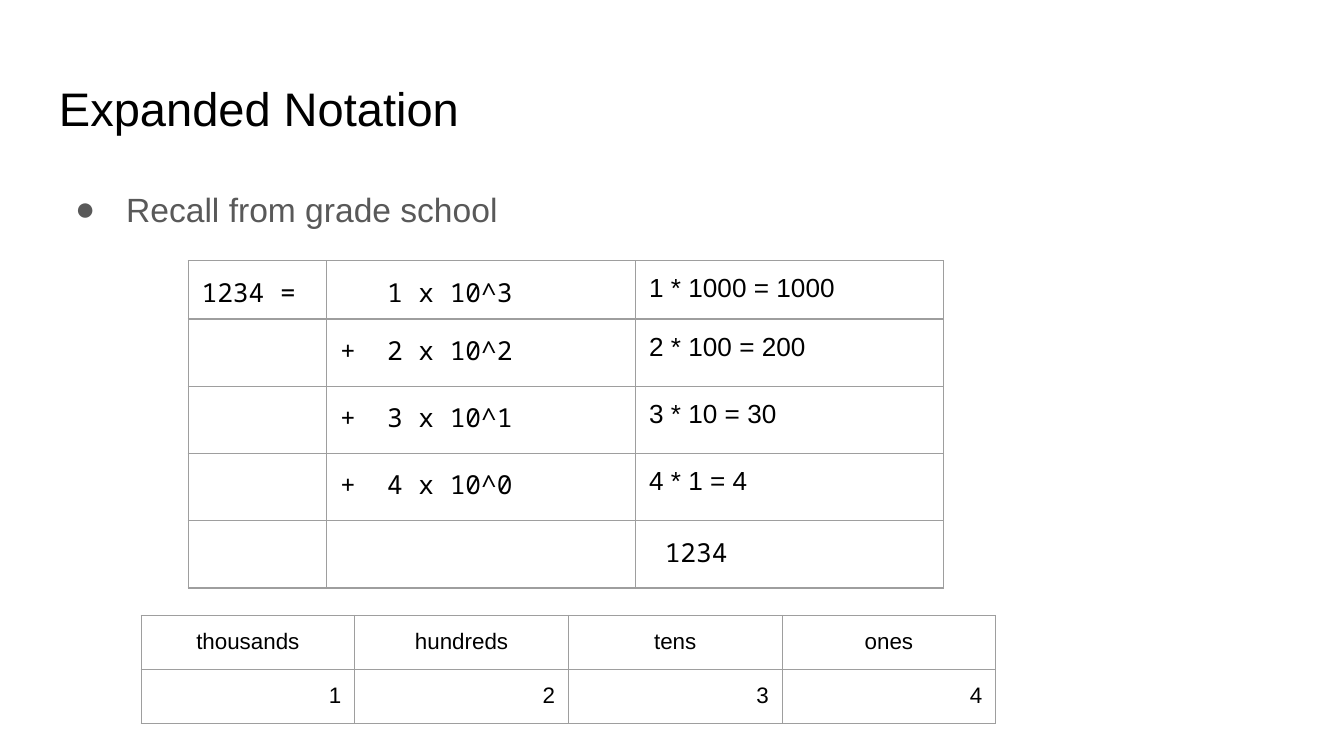
import pptx
import pptx.dml.color
import pptx.enum.text
import pptx.oxml
import pptx.oxml.ns
import pptx.util
from pptx.util import Inches

SANS = "Arial"
MONO = "Noto Sans Mono"
BLACK = "000000"
GRAY = "595959"
BORDER = "9E9E9E"
INSET = Inches(0.1)
HANG = 0.35  # width of three monospaced characters at 14 pt

LEFT = pptx.enum.text.PP_ALIGN.LEFT
CENTER = pptx.enum.text.PP_ALIGN.CENTER
RIGHT = pptx.enum.text.PP_ALIGN.RIGHT


def color(hex_string):
    return pptx.dml.color.RGBColor.from_string(hex_string)


def add_xml(parent, xml):
    """Append a DrawingML element written with the a: prefix."""
    namespace = pptx.oxml.ns.nsdecls("a")
    parent.append(pptx.oxml.parse_xml(xml.replace(" ", f" {namespace} ", 1)))


def style_font(font, name, size, hex_string):
    font.name = name
    font.size = pptx.util.Pt(size)
    font.color.rgb = color(hex_string)


def set_indent(paragraph, margin, first_line=0):
    properties = paragraph._p.get_or_add_pPr()
    properties.set("marL", str(Inches(margin)))
    properties.set("indent", str(Inches(first_line)))


def add_text(slide, left, top, width, height, text, size, hex_string):
    """Add a text box and return its paragraph."""
    box = slide.shapes.add_textbox(Inches(left), Inches(top), Inches(width), Inches(height))
    frame = box.text_frame
    frame.word_wrap = True
    frame.margin_left = frame.margin_right = INSET
    frame.margin_top = frame.margin_bottom = INSET
    frame.text = text
    paragraph = frame.paragraphs[0]
    style_font(paragraph.runs[0].font, SANS, size, hex_string)
    return paragraph


def add_bullet(paragraph, hex_string):
    set_indent(paragraph, 0.5, -0.38)
    properties = paragraph._p.get_or_add_pPr()
    add_xml(properties, f'<a:buClr ><a:srgbClr val="{hex_string}"/></a:buClr>')
    add_xml(properties, f'<a:buFont typeface="{SANS}"/>')
    add_xml(properties, '<a:buChar char="●"/>')


def set_borders(cell):
    properties = cell._tc.get_or_add_tcPr()
    for side in ("lnL", "lnR", "lnT", "lnB"):
        add_xml(
            properties,
            f'<a:{side} w="{pptx.util.Pt(0.75)}"><a:solidFill>'
            f'<a:srgbClr val="{BORDER}"/></a:solidFill></a:{side}>',
        )


def fill_cell(cell, text, font_name, size, alignment):
    cell.margin_left = cell.margin_right = INSET
    cell.margin_top = cell.margin_bottom = INSET
    set_borders(cell)
    cell.fill.background()
    paragraph = cell.text_frame.paragraphs[0]
    if not text:
        add_xml(paragraph._p, f'<a:endParaRPr sz="1800"><a:latin typeface="{SANS}"/></a:endParaRPr>')
        return
    paragraph.text = text
    paragraph.alignment = alignment
    style_font(paragraph.runs[0].font, font_name, size, BLACK)


def add_table(slide, left, top, widths, row_height, rows, size, cell_format):
    """Add a table; cell_format(row, column) gives font name and alignment."""
    frame = slide.shapes.add_table(
        len(rows), len(widths), Inches(left), Inches(top),
        Inches(sum(widths)), Inches(row_height * len(rows)),
    )
    table = frame.table
    table.first_row = False
    table.horz_banding = False
    for column, width in zip(table.columns, widths):
        column.width = Inches(width)
    for row_index, texts in enumerate(rows):
        table.rows[row_index].height = Inches(row_height)
        for column_index, text in enumerate(texts):
            font_name, alignment = cell_format(row_index, column_index)
            fill_cell(table.cell(row_index, column_index), text, font_name, size, alignment)
    return table


def add_expansion_table(slide):
    digits = [1, 2, 3, 4]
    rows = []
    for index, digit in enumerate(digits):
        power = len(digits) - 1 - index
        value = 10 ** power
        rows.append([
            "" if index else "1234 =",
            f"+\t{digit} x 10^{power}" if index else f"{digit} x 10^{power}",
            f"{digit} * {value} = {digit * value}",
        ])
    rows.append(["", "", "1234"])
    total_row = len(digits)

    def cell_format(row, column):
        return (SANS if column == 2 and row < total_row else MONO), LEFT

    table = add_table(slide, 1.4, 1.94, [1.03, 2.3, 2.29], 0.43, rows, 14, cell_format)
    for index in range(total_row):
        paragraph = table.cell(index, 1).text_frame.paragraphs[0]
        set_indent(paragraph, HANG, -HANG if index else 0)
    set_indent(table.cell(total_row, 2).text_frame.paragraphs[0], HANG / 3)


def add_place_table(slide):
    rows = [["thousands", "hundreds", "tens", "ones"], ["1", "2", "3", "4"]]

    def cell_format(row, column):
        return SANS, (RIGHT if row else CENTER)

    add_table(slide, 1.05, 4.58, [1.59] * 4, 0.31, rows, 12, cell_format)


def main():
    presentation = pptx.Presentation()
    presentation.slide_width = Inches(10)
    presentation.slide_height = Inches(10 * 9 / 16)
    slide = presentation.slides.add_slide(presentation.slide_layouts[6])

    add_text(slide, 0.34, 0.49, 9.32, 0.63, "Expanded Notation", 25.2, BLACK)
    recall = add_text(slide, 0.34, 1.26, 9.32, 3.74, "Recall from grade school", 18, GRAY)
    recall.line_spacing = 1.15
    add_bullet(recall, GRAY)
    add_expansion_table(slide)
    add_place_table(slide)

    presentation.save("out.pptx")


if __name__ == "__main__":
    main()
